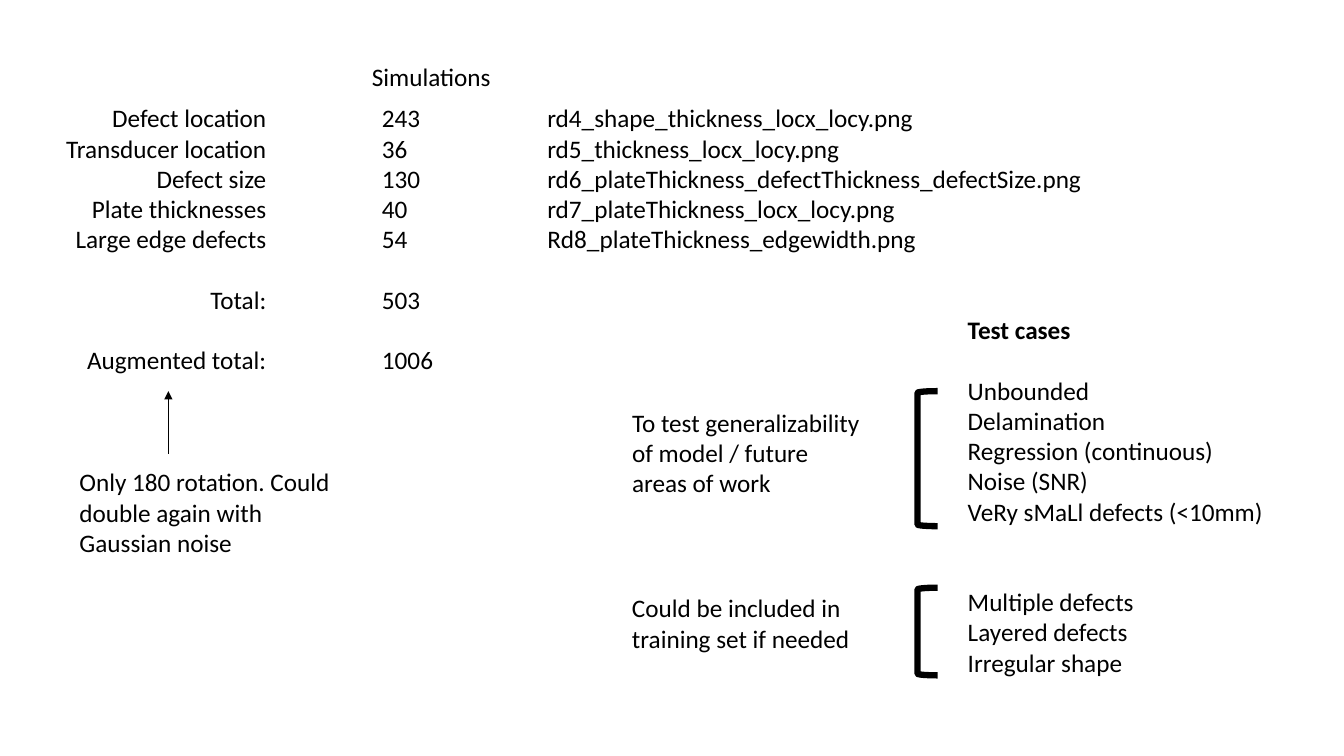
from dataclasses import dataclass

from lxml.etree import SubElement
from pptx import Presentation
from pptx.dml.color import RGBColor
from pptx.enum.shapes import MSO_CONNECTOR, MSO_SHAPE
from pptx.enum.text import MSO_AUTO_SIZE, PP_ALIGN
from pptx.oxml.ns import qn
from pptx.util import Inches, Pt


@dataclass(frozen=True)
class Theme:
    font: str = "Calibri"
    ink: RGBColor = RGBColor(0, 0, 0)
    size: float = 18
    line_height: float = 21.6
    bracket_width: float = 4.5
    arrow_width: float = 0.5


THEME = Theme()

SIMULATIONS = [
    ("Defect location", "243", "rd4_shape_thickness_locx_locy.png"),
    ("Transducer location", "36", "rd5_thickness_locx_locy.png"),
    ("Defect size", "130", "rd6_plateThickness_defectThickness_defectSize.png"),
    ("Plate thicknesses", "40", "rd7_plateThickness_locx_locy.png"),
    ("Large edge defects", "54", "Rd8_plateThickness_edgewidth.png"),
]
TOTALS = [("Total:", "503"), ("Augmented total:", "1006")]
GENERAL_CASES = ["Unbounded", "Delamination", "Regression (continuous)",
                 "Noise (SNR)", "VeRy sMaLl defects (<10mm)"]
TRAINING_CASES = ["Multiple defects", "Layered defects", "Irregular shape"]


def add_text(s, box, *groups, gaps=(), align=PP_ALIGN.LEFT):
    """Add groups of lines; gaps holds the free lines before each later group."""
    tb = s.shapes.add_textbox(*map(Inches, box))
    tf = tb.text_frame
    tf.word_wrap = True
    tf.auto_size = MSO_AUTO_SIZE.SHAPE_TO_FIT_TEXT
    p = None
    for gap, lines in zip((0, *gaps), groups):
        for i, line in enumerate(lines):
            p = tf.add_paragraph() if p else tf.paragraphs[0]
            p.text = line
            p.alignment = align
            p.font.name = THEME.font
            p.font.size = Pt(THEME.size)
            p.font.color.rgb = THEME.ink
            if gap and i == 0:
                p.space_before = Pt(gap * THEME.line_height)
    return tf


def add_bracket(s, top, height):
    """Add a bracket that opens toward the test cases."""
    sp = s.shapes.add_shape(MSO_SHAPE.RIGHT_BRACKET, Inches(9.1), Inches(top),
                            Inches(0.2), Inches(height))
    sp.rotation = 180
    sp.shadow.inherit = False
    sp.fill.background()
    sp.line.color.rgb = THEME.ink
    sp.line.width = Pt(THEME.bracket_width)


def add_arrow(s, x, start_y, end_y):
    """Add a thin vertical arrow."""
    c = s.shapes.add_connector(MSO_CONNECTOR.STRAIGHT, Inches(x), Inches(start_y),
                               Inches(x), Inches(end_y))
    c.line.color.rgb = THEME.ink
    c.line.width = Pt(THEME.arrow_width)
    SubElement(c.line._get_or_add_ln(), qn("a:tailEnd"), type="triangle")
    SubElement(c._element.spPr, qn("a:effectLst"))


def main():
    prs = Presentation()
    prs.slide_width, prs.slide_height = Inches(13.33), Inches(7.5)
    s = prs.slides.add_slide(prs.slide_layouts[6])

    # Simulation counts and file names
    names, counts, files = zip(*SIMULATIONS)
    total, augmented = TOTALS
    add_text(s, (0.53, 0.97, 2.21, 2.83), names, total[:1], augmented[:1],
             gaps=(1, 1), align=PP_ALIGN.RIGHT)
    add_text(s, (3.59, 0.56, 1.39, 0.4), ["Simulations"])
    add_text(s, (3.69, 0.97, 1.81, 2.83), counts, total[1:], augmented[1:],
             gaps=(1, 1))
    add_text(s, (5.33, 0.97, 6.48, 1.62), files)

    # Note on the augmented total
    add_arrow(s, 1.67, 4.5, 3.88)
    add_text(s, (0.69, 4.58, 2.73, 1.01),
             ["Only 180 rotation. Could double again with Gaussian noise"])

    # Test cases
    tf = add_text(s, (9.5, 3.07, 3.33, 4.04), ["Test cases"], GENERAL_CASES,
                  TRAINING_CASES, gaps=(1, 2))
    tf.paragraphs[0].font.bold = True

    # Bracketed remarks
    add_bracket(s, 3.88, 1.34)
    add_text(s, (6.17, 3.99, 2.51, 1.01),
             ["To test generalizability of model / future areas of work"])
    add_bracket(s, 5.83, 0.87)
    add_text(s, (6.17, 5.83, 2.73, 0.71),
             ["Could be included in training set if needed"])

    prs.save("out.pptx")


if __name__ == "__main__":
    main()
